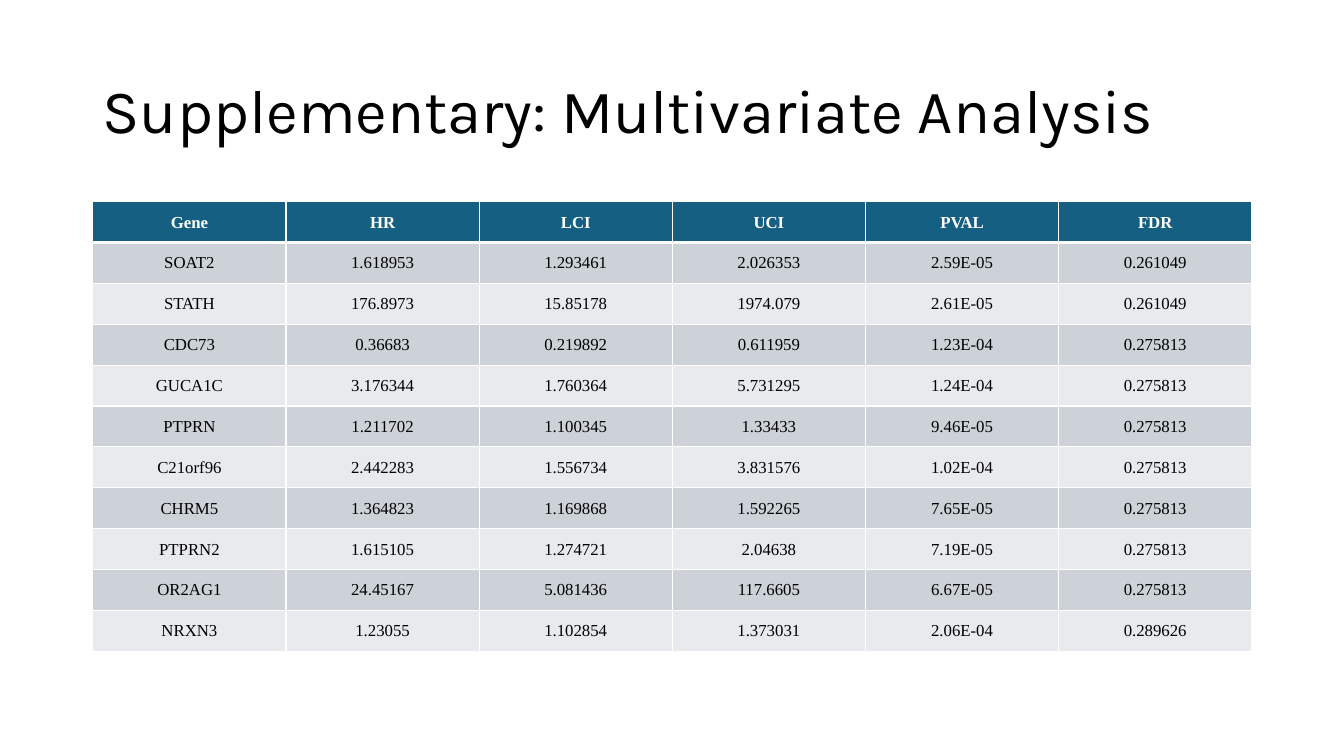
"""Build the supplementary multivariate analysis slide."""
from dataclasses import dataclass

from lxml.etree import SubElement
from pptx import Presentation
from pptx.dml.color import RGBColor
from pptx.enum.text import MSO_ANCHOR, PP_ALIGN
from pptx.oxml.ns import qn
from pptx.util import Cm, Pt

TITLE = "Supplementary: Multivariate Analysis"
HEADER = ("Gene", "HR", "LCI", "UCI", "PVAL", "FDR")
GENES = [
    ("SOAT2", "1.618953", "1.293461", "2.026353", "2.59E-05", "0.261049"),
    ("STATH", "176.8973", "15.85178", "1974.079", "2.61E-05", "0.261049"),
    ("CDC73", "0.36683", "0.219892", "0.611959", "1.23E-04", "0.275813"),
    ("GUCA1C", "3.176344", "1.760364", "5.731295", "1.24E-04", "0.275813"),
    ("PTPRN", "1.211702", "1.100345", "1.33433", "9.46E-05", "0.275813"),
    ("C21orf96", "2.442283", "1.556734", "3.831576", "1.02E-04", "0.275813"),
    ("CHRM5", "1.364823", "1.169868", "1.592265", "7.65E-05", "0.275813"),
    ("PTPRN2", "1.615105", "1.274721", "2.04638", "7.19E-05", "0.275813"),
    ("OR2AG1", "24.45167", "5.081436", "117.6605", "6.67E-05", "0.275813"),
    ("NRXN3", "1.23055", "1.102854", "1.373031", "2.06E-04", "0.289626"),
]


@dataclass(frozen=True)
class Theme:
    title_font: str = "Karla"
    table_font: str = "Times New Roman"
    title_size: int = 44
    table_size: int = 12
    text: str = "000000"
    header_text: str = "FFFFFF"
    header_fill: str = "156082"
    bands: tuple = ("CCD2D8", "E8EAED")
    border: str = "FFFFFF"
    thin: int = 1
    thick: int = 3


THEME = Theme()
LEFT, WIDTH = 2.34, 29.21
TITLE_TOP, TITLE_HEIGHT = 1.01, 3.68
TABLE_TOP, ROW_HEIGHT = 5.08, 1.03
CELL_INSET = 0.02


def style_run(r, font, size, color, bold=False):
    r.font.name = font
    r.font.size = Pt(size)
    r.font.bold = bold
    r.font.color.rgb = RGBColor.from_string(color)


def add_title(s):
    box = s.shapes.add_textbox(Cm(LEFT), Cm(TITLE_TOP), Cm(WIDTH), Cm(TITLE_HEIGHT))
    tf = box.text_frame
    tf.word_wrap = True
    tf.vertical_anchor = MSO_ANCHOR.MIDDLE
    tf.text = TITLE
    p = tf.paragraphs[0]
    p.line_spacing = 0.9
    style_run(p.runs[0], THEME.title_font, THEME.title_size, THEME.text)


def set_borders(cell, row):
    widths = {
        "L": THEME.thin,
        "R": THEME.thin,
        "T": THEME.thick if row == 1 else THEME.thin,
        "B": THEME.thick if row == 0 else THEME.thin,
    }
    tc_pr = cell._tc.get_or_add_tcPr()
    for side, width in widths.items():
        ln = SubElement(tc_pr, qn(f"a:ln{side}"), w=str(Pt(width)))
        fill = SubElement(ln, qn("a:solidFill"))
        SubElement(fill, qn("a:srgbClr"), val=THEME.border)


def fill_cell(cell, text, row):
    is_header = row == 0
    set_borders(cell, row)
    cell.fill.solid()
    color = THEME.header_fill if is_header else THEME.bands[(row - 1) % 2]
    cell.fill.fore_color.rgb = RGBColor.from_string(color)
    cell.margin_left = cell.margin_right = cell.margin_top = Cm(CELL_INSET)
    cell.margin_bottom = 0
    cell.vertical_anchor = MSO_ANCHOR.MIDDLE
    p = cell.text_frame.paragraphs[0]
    p.text = text
    p.alignment = PP_ALIGN.CENTER
    style_run(p.runs[0], THEME.table_font, THEME.table_size,
              THEME.header_text if is_header else THEME.text, is_header)


def add_gene_table(s):
    rows = [HEADER, *GENES]
    frame = s.shapes.add_table(len(rows), len(HEADER), Cm(LEFT), Cm(TABLE_TOP),
                               Cm(WIDTH), Cm(ROW_HEIGHT * len(rows)))
    table = frame.table
    for column in table.columns:
        column.width = Cm(WIDTH / len(HEADER))
    for i, values in enumerate(rows):
        table.rows[i].height = Cm(ROW_HEIGHT)
        for j, text in enumerate(values):
            fill_cell(table.cell(i, j), text, i)


def main():
    prs = Presentation()
    prs.slide_width, prs.slide_height = Cm(33.87), Cm(19.05)
    s = prs.slides.add_slide(prs.slide_layouts[6])
    add_title(s)
    add_gene_table(s)
    prs.save("out.pptx")


if __name__ == "__main__":
    main()
